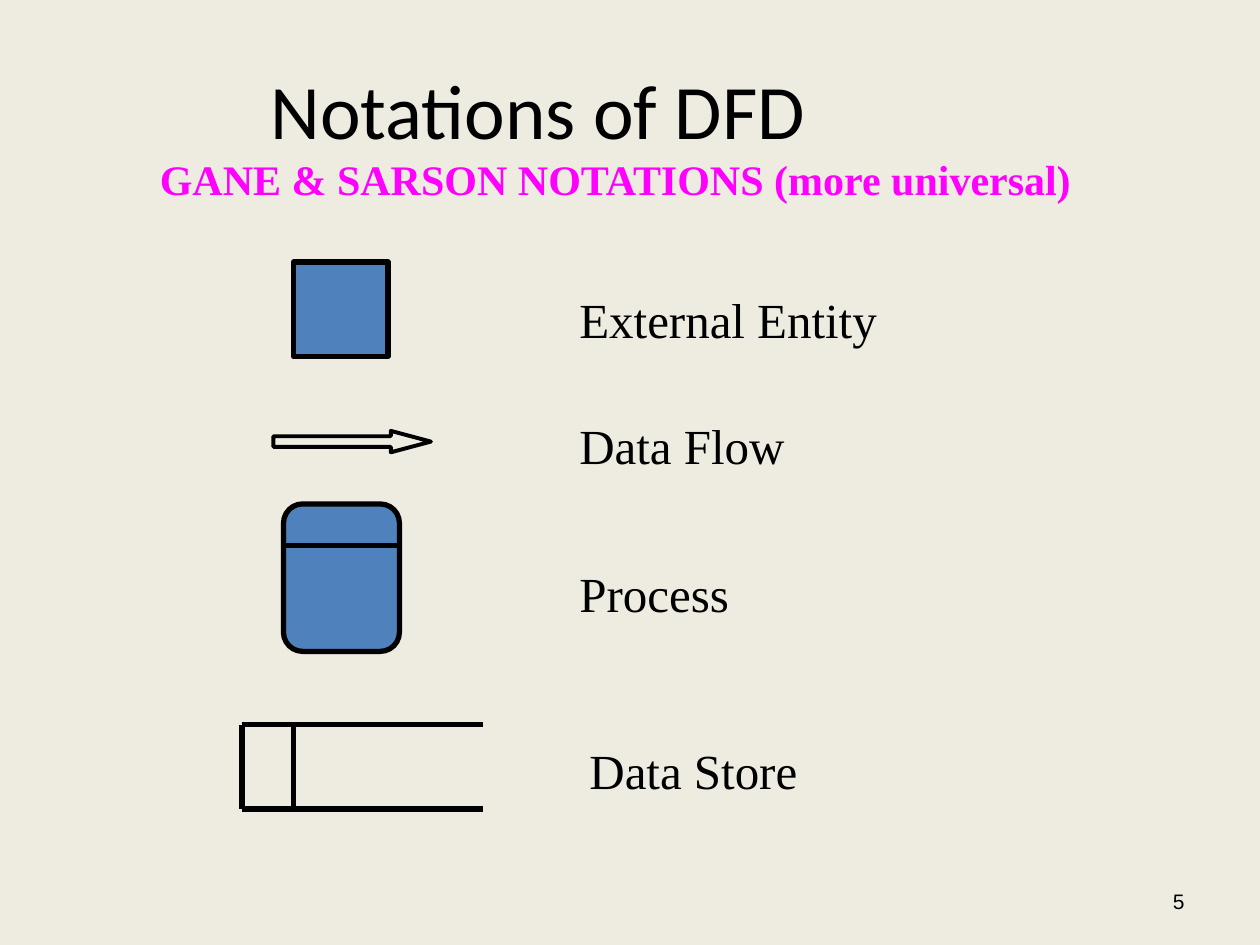
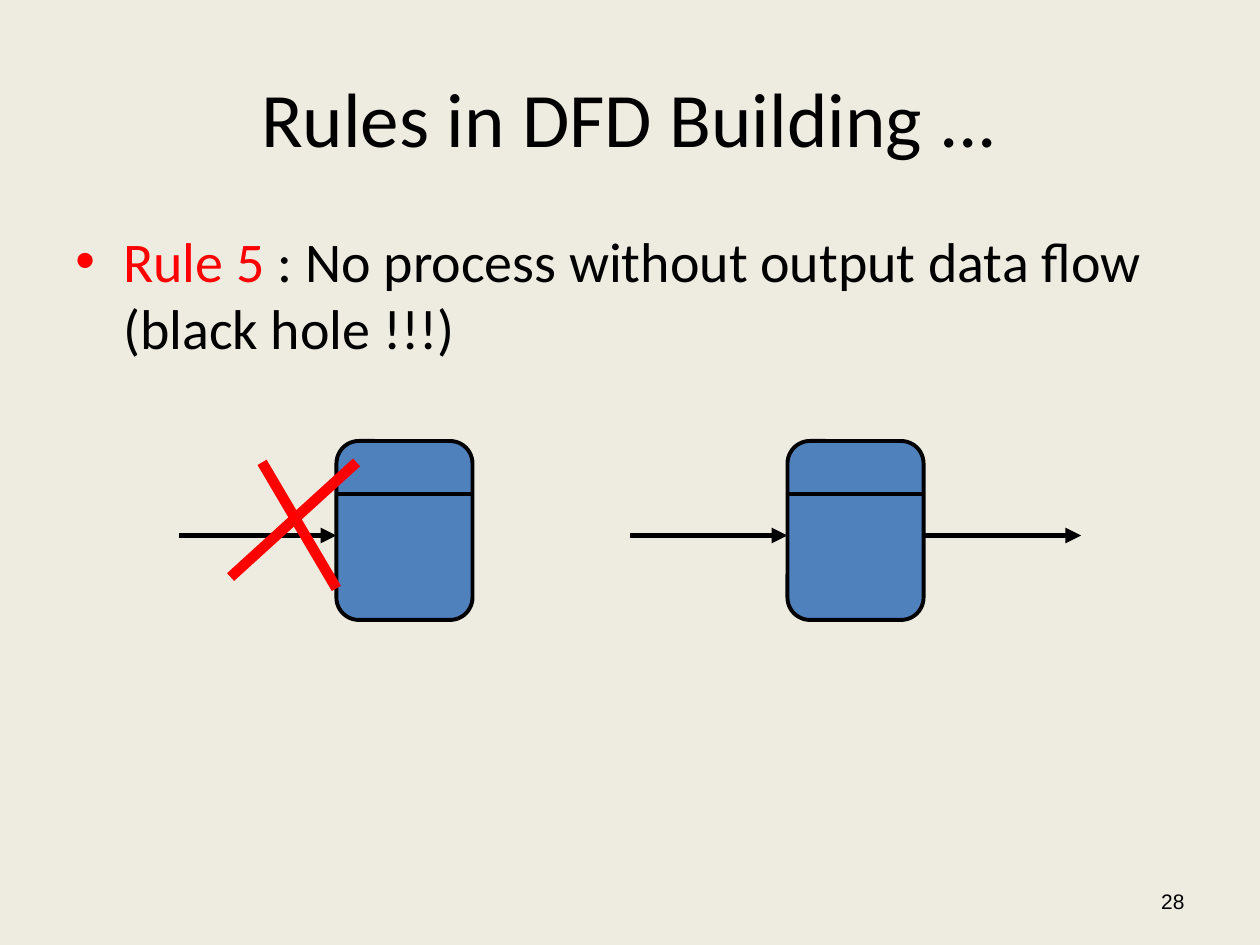
"""Build two slides on data flow diagrams: the notations and rule 5."""
import lxml.etree
import pptx
import pptx.dml.color
import pptx.enum.shapes
import pptx.enum.text
import pptx.oxml.ns
import pptx.util

Inches = pptx.util.Inches
Pt = pptx.util.Pt
color = pptx.dml.color.RGBColor.from_string
qn = pptx.oxml.ns.qn
ALIGN = pptx.enum.text.PP_ALIGN
ANCHOR = pptx.enum.text.MSO_ANCHOR
SHAPE = pptx.enum.shapes.MSO_SHAPE

BLACK, RED, MAGENTA = "000000", "FF0000", "FF00FF"
BLUE, PAPER = "4F81BD", "EEECE1"
HEADING_FONT, LABEL_FONT, NUMBER_FONT = "Calibri", "Times New Roman", "Arial"


def write(shape, text, box, font, size, ink=BLACK, bold=False, align=ALIGN.LEFT, anchor=ANCHOR.TOP):
    """Place a shape and set its one paragraph of text."""
    shape.left, shape.top, shape.width, shape.height = map(Inches, box)
    frame = shape.text_frame
    frame.word_wrap = True
    frame.vertical_anchor = anchor
    frame.margin_left = frame.margin_right = Inches(0.1)
    frame.margin_top = frame.margin_bottom = Inches(0.05)
    paragraph = frame.paragraphs[0]
    paragraph.alignment = align
    run = paragraph.add_run()
    run.text = text
    run.font.name = font
    run.font.size = Pt(size)
    run.font.bold = bold
    run.font.color.rgb = color(ink)
    return paragraph


def draw_line(slide, start, end, width=3, ink=BLACK, arrow=False):
    """Draw a straight line, with an arrowhead at its end if asked."""
    line = slide.shapes.add_connector(
        pptx.enum.shapes.MSO_CONNECTOR.STRAIGHT, *map(Inches, start + end))
    line.line.color.rgb = color(ink)
    line.line.width = Pt(width)
    if arrow:
        lxml.etree.SubElement(line.line._get_or_add_ln(), qn("a:tailEnd"), type="triangle")
    lxml.etree.SubElement(line._element.spPr, qn("a:effectLst"))


presentation = pptx.Presentation()
presentation.slide_width, presentation.slide_height = Inches(10), Inches(7.5)
background = presentation.slide_master.background.fill
background.solid()
background.fore_color.rgb = color(PAPER)

slides = []
for title, title_box, number in (
    ("Notations of DFD", (0.62, 0.3, 7.3, 1.12), "5"),
    ("Rules in DFD Building ...", (0.5, 0.3, 9, 1.25), "28"),
):
    slide = presentation.slides.add_slide(presentation.slide_layouts[5])
    write(slide.shapes.title, title, title_box, HEADING_FONT, 44,
          align=ALIGN.CENTER, anchor=ANCHOR.MIDDLE)
    write(slide.shapes.add_textbox(0, 0, 0, 0), number, (7.17, 6.95, 2.33, 0.4), NUMBER_FONT, 12,
          align=ALIGN.RIGHT, anchor=ANCHOR.MIDDLE)
    slides.append(slide)
notations, rules = slides

ROUNDING = [0.165]
for slide, kind, box, fill, width, adjustments in (
    (notations, SHAPE.RECTANGLE, (2.33, 2.08, 0.75, 0.75), BLUE, 3, []),
    (notations, SHAPE.RIGHT_ARROW, (2.17, 3.42, 1.25, 0.17), PAPER, 2.25, [0.5, 1.872]),
    (notations, SHAPE.ROUNDED_RECTANGLE, (2.25, 4, 0.92, 1.17), BLUE, 3, ROUNDING),
    (rules, SHAPE.ROUNDED_RECTANGLE, (2.67, 3.5, 1.08, 1.42), BLUE, 2.25, ROUNDING),
    (rules, SHAPE.ROUNDED_RECTANGLE, (6.25, 3.5, 1.08, 1.42), BLUE, 2.25, ROUNDING),
):
    symbol = slide.shapes.add_shape(kind, *map(Inches, box))
    symbol.shadow.inherit = False
    symbol.fill.solid()
    symbol.fill.fore_color.rgb = color(fill)
    symbol.line.color.rgb = color(BLACK)
    symbol.line.width = Pt(width)
    for index, value in enumerate(adjustments):
        symbol.adjustments[index] = value
    if kind == SHAPE.ROUNDED_RECTANGLE:
        left, top, box_width, height = box
        divider = top + (0.33 if slide is notations else 0.42)
        draw_line(slide, (left, divider), (left + box_width, divider), width)

write(notations.shapes.add_textbox(0, 0, 0, 0), "GANE & SARSON NOTATIONS (more universal)",
      (1.17, 1.17, 8.25, 0.5), LABEL_FONT, 24, ink=MAGENTA, bold=True)
for label, left, top, width in (
    ("External Entity", 4.5, 2.25, 2.92),
    ("Data Flow", 4.5, 3.25, 2.17),
    ("Process", 4.5, 4.42, 4.25),
    ("Data Store", 4.58, 5.83, 2.33),
):
    write(notations.shapes.add_textbox(0, 0, 0, 0), label, (left, top, width, 0.57), LABEL_FONT, 28)

store_top, store_bottom = 5.75, 6.42
for y in (store_top, store_bottom):
    draw_line(notations, (1.92, y), (3.83, y))
for x in (1.92, 2.33):
    draw_line(notations, (x, store_top), (x, store_bottom))

rule = write(rules.shapes.add_textbox(0, 0, 0, 0), "Rule 5", (0.5, 1.75, 9, 1.26),
             HEADING_FONT, 32, ink=RED)
properties = rule._p.get_or_add_pPr()
properties.set("marL", str(Inches(0.38)))
properties.set("indent", str(Inches(-0.38)))
bullet_color = lxml.etree.SubElement(properties, qn("a:buClr"))
lxml.etree.SubElement(bullet_color, qn("a:srgbClr"), val=RED)
lxml.etree.SubElement(properties, qn("a:buFont"), typeface=NUMBER_FONT)
lxml.etree.SubElement(properties, qn("a:buChar"), char="•")
statement = rule.add_run()
statement.text = " : No process without output data flow (black hole !!!)"
statement.font.name = HEADING_FONT
statement.font.size = Pt(32)
statement.font.color.rgb = color(BLACK)

for flow_start in (1.42, 5, 7.33):
    draw_line(rules, (flow_start, 4.25), (flow_start + 1.25, 4.25), arrow=True)
for start, end in (((2.08, 3.67), (2.67, 4.67)), ((2.83, 3.67), (1.83, 4.58))):
    draw_line(rules, start, end, width=6, ink=RED)

presentation.save("out.pptx")
